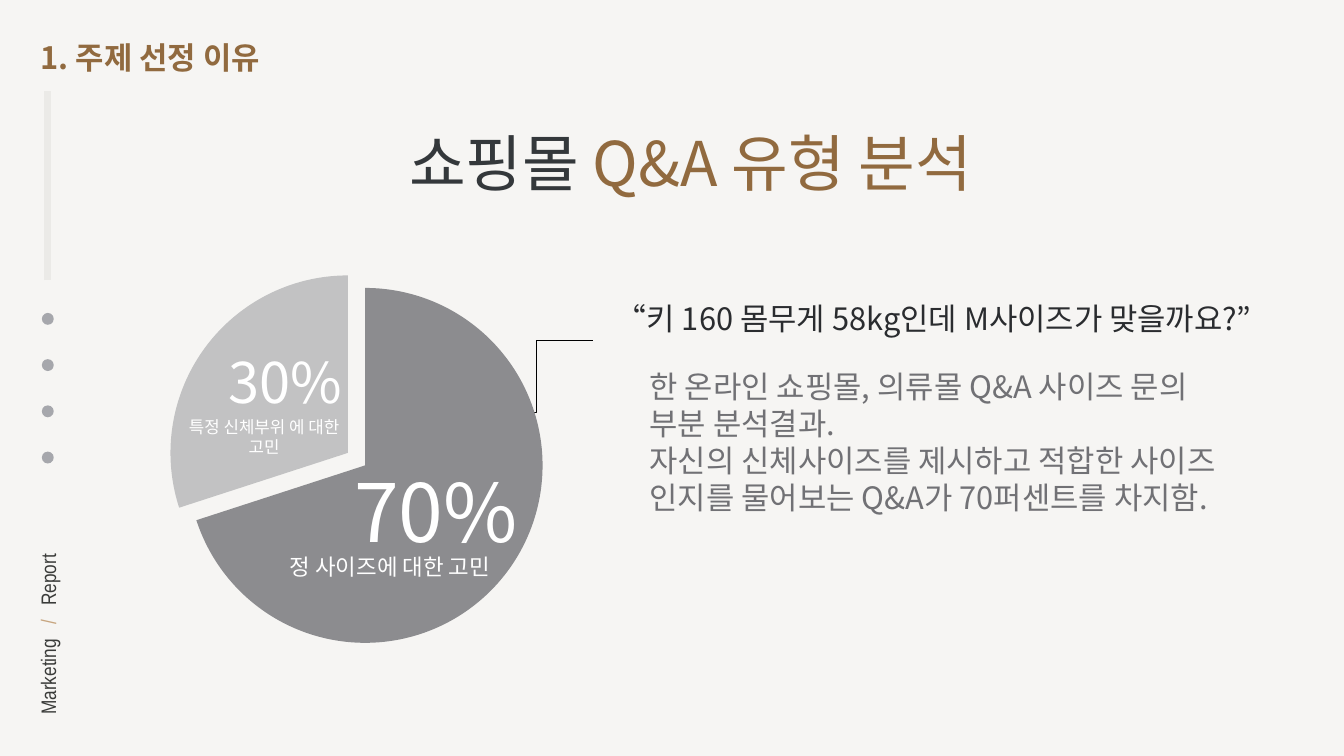
from collections import namedtuple

from lxml import etree
from pptx import Presentation
from pptx import util as u
from pptx.chart.data import CategoryChartData
from pptx.dml.color import RGBColor
from pptx.enum import chart as charts
from pptx.enum import shapes, text
from pptx.oxml.ns import qn

Box = namedtuple("Box", "left top width height")

KOREAN = "Noto Sans CJK KR"
BACKGROUND = "F6F5F3"
BROWN = "916A3F"
TAN = "C7A57F"
WHITE = "FFFFFF"
BODY_GRAY = "717175"
ICON_GRAY = "A6A7AC"
SLICE_COLOURS = ["8C8C8F", "C2C2C3", "A5A5A6", "757579"]


def colour(value):
    return RGBColor.from_string(value)


def place(box):
    return [u.Cm(length) for length in box]


def inside(box, left, top, width, height):
    return Box(box.left + left, box.top + top, width, height)


def add_text(page, box, paragraphs, size, font=KOREAN, bold=False, align=None,
             anchor=text.MSO_ANCHOR.TOP, inset=0.1, spacing=None, wrap=True,
             grow=False, rotation=0):
    shape = page.shapes.add_textbox(*place(box))
    shape.rotation = rotation
    frame = shape.text_frame
    frame.word_wrap = wrap
    frame.vertical_anchor = anchor
    frame.auto_size = (text.MSO_AUTO_SIZE.SHAPE_TO_FIT_TEXT if grow
                       else text.MSO_AUTO_SIZE.NONE)
    if inset is not None:
        frame.margin_left = frame.margin_right = u.Cm(inset)
        frame.margin_top = frame.margin_bottom = u.Cm(inset)
    for index, spans in enumerate(paragraphs):
        para = frame.paragraphs[0] if index == 0 else frame.add_paragraph()
        para.alignment = align
        para.line_spacing = spacing
        for words, ink in spans:
            span = para.add_run()
            span.text = words
            span.font.size = u.Pt(size)
            span.font.name = font
            span.font.bold = bold
            span.font.color.rgb = colour(ink)
            east_asian = etree.SubElement(span.font._element, qn("a:ea"))
            east_asian.set("typeface", font)
    return shape


def add_line(page, kind, start, end, ink, width):
    ends = [u.Cm(length) for length in (*start, *end)]
    line = page.shapes.add_connector(kind, *ends)
    line.line.color.rgb = colour(ink)
    line.line.width = u.Pt(width)
    etree.SubElement(line._element.spPr, qn("a:effectLst"))


def add_sidebar(page, box):
    centre = box.left + box.width / 2
    add_line(page, shapes.MSO_CONNECTOR.STRAIGHT, (centre, box.top + 9.52),
             (centre, box.top), "EBEAE7", 10)
    icon_size, pitch = 0.6, 2.33
    for index in range(4):
        icon = page.shapes.add_shape(
            shapes.MSO_SHAPE.OVAL,
            *place(Box(centre - icon_size / 2, box.top + 11.17 + index * pitch,
                       icon_size, icon_size)))
        icon.shadow.inherit = False
        icon.fill.solid()
        icon.fill.fore_color.rgb = colour(ICON_GRAY)
        icon.line.fill.background()
    label_width = 9.88
    label = add_text(
        page, Box(centre - label_width / 2, box.top + 25.78, label_width, 1.6),
        [[("Marketing", "3A3B39"), (" /", TAN), (" Report", "3A3B39")]],
        30, font="Arial Narrow", anchor=text.MSO_ANCHOR.MIDDLE, wrap=False,
        grow=True, rotation=270)
    slash = label.text_frame.paragraphs[0].runs[1]
    slash.font._element.set("spc", "1370")


def add_pie(page, box):
    data = CategoryChartData()
    data.categories = ["1", "2", "3", "4"]
    data.add_series("Series 1", [70, 30, None, None])
    chart = page.shapes.add_chart(charts.XL_CHART_TYPE.PIE, *place(box), data).chart
    chart.has_legend = False
    chart.has_title = False
    chart.font.size = u.Pt(10)
    chart.font.name = "Montserrat"
    chart.font.color.rgb = colour(BODY_GRAY)
    series = chart.plots[0].series[0]
    for index, ink in enumerate(SLICE_COLOURS):
        slice_format = series.points[index].format
        slice_format.fill.solid()
        slice_format.fill.fore_color.rgb = colour(ink)
        slice_format.line.fill.background()
    explosion = etree.Element(qn("c:explosion"))
    explosion.set("val", "6")
    series._element.find(qn("c:dPt")).addprevious(explosion)


def add_share_chart(page, box):
    add_pie(page, box)
    centred = text.PP_ALIGN.CENTER
    labels = [
        ((12.34, 9.83, 12.4, 5.13), ["70%"], 115, None),
        ((1.7, 7.57, 12.4, 2.26), ["특정 신체부위 에 대한", "고민"], 24, centred),
        ((6.02, 4.09, 12.4, 3.63), ["30%"], 80, None),
        ((9.09, 14.48, 12.4, 1.57), ["정 사이즈에 대한 고민"], 32, None),
    ]
    for area, lines, size, align in labels:
        add_text(page, inside(box, *area), [[(line, WHITE)] for line in lines], size,
                 align=align, anchor=text.MSO_ANCHOR.MIDDLE, grow=True)


def add_findings(page, box):
    add_text(page, inside(box, 0, 0, box.width, 4.11),
             [[("“키 160 몸무게 58kg인데 M사이즈가 맞을까요?”", "2A2C2F")]], 44)
    findings = [
        "한 온라인 쇼핑몰, 의류몰 Q&A 사이즈 문의 부분 분석결과.",
        "자신의 신체사이즈를 제시하고 적합한 사이즈 인지를 물어보는 Q&A가 70퍼센트를 차지함.",
    ]
    add_text(page, inside(box, 1.7, 3.43, 29.64, 19.66),
             [[(finding, BODY_GRAY)] for finding in findings], 44)


def add_headings(page, box):
    add_text(page, inside(box, 0, 0, 24.23, 2.39), [[("1. 주제 선정 이유", BROWN)]],
             44, bold=True, inset=None, spacing=1.2, grow=True)
    add_text(page, inside(box, 17.25, 5.46, 31.5, 3.48),
             [[("쇼핑몰 ", "34383B"), ("Q&A 유형 분석", BROWN)]],
             88, align=text.PP_ALIGN.CENTER, spacing=0.8)


def main():
    deck = Presentation()
    deck.slide_width, deck.slide_height = u.Cm(67.74), u.Cm(38.1)
    page = deck.slides.add_slide(deck.slide_layouts[6])
    page.background.fill.solid()
    page.background.fill.fore_color.rgb = colour(BACKGROUND)
    add_sidebar(page, Box(1.61, 4.6, 1.6, 32))
    add_line(page, shapes.MSO_CONNECTOR.ELBOW, (24.23, 20.78), (29.87, 17.17),
             "000000", 1)
    add_share_chart(page, Box(5.41, 13.31, 25.12, 19.66))
    add_findings(page, Box(30.94, 15.01, 33.27, 23.09))
    add_headings(page, Box(1.8, 1.45, 64, 9))
    deck.save("out.pptx")


if __name__ == "__main__":
    main()
